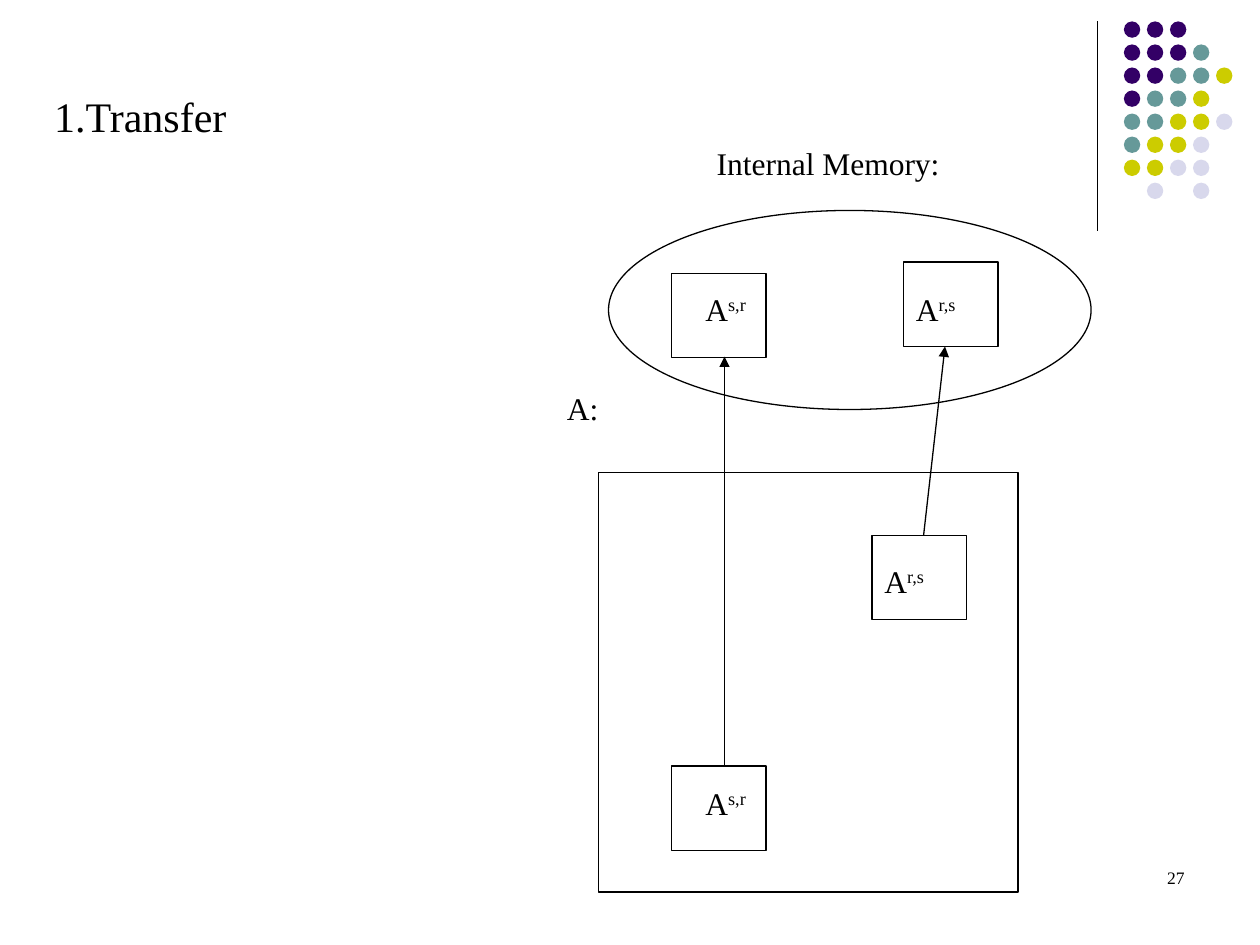
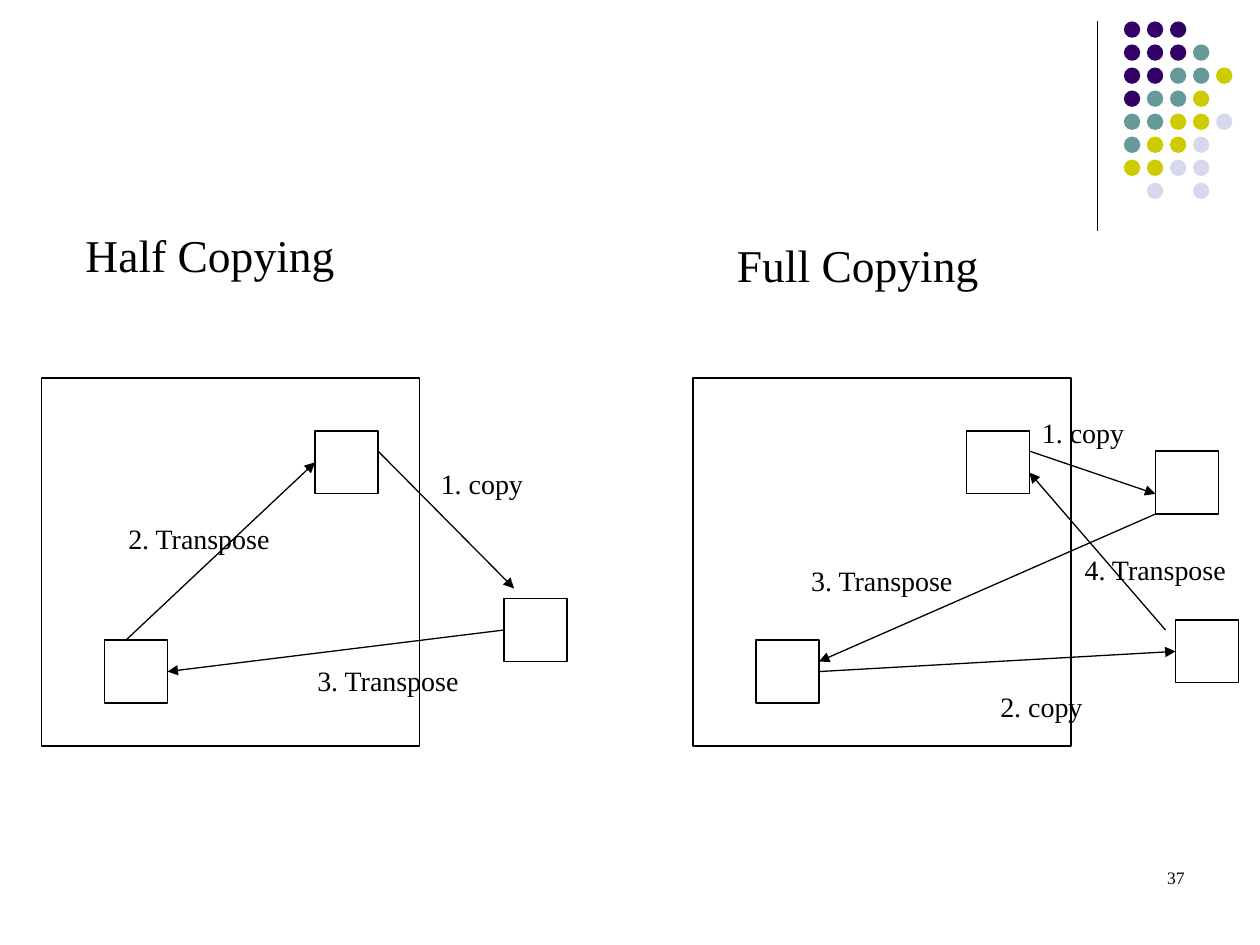
from lxml import etree
from pptx import Presentation
from pptx.dml.color import RGBColor
from pptx.enum.shapes import MSO_CONNECTOR, MSO_SHAPE
from pptx.enum.text import MSO_ANCHOR, MSO_AUTO_SIZE, PP_ALIGN
from pptx.oxml.ns import qn
from pptx.util import Inches, Pt

STRAIGHT = MSO_CONNECTOR.STRAIGHT
RECTANGLE, ELLIPSE = MSO_SHAPE.RECTANGLE, MSO_SHAPE.OVAL
LEFT, RIGHT = PP_ALIGN.LEFT, PP_ALIGN.RIGHT
TOP = MSO_ANCHOR.TOP
FIT, FIXED = MSO_AUTO_SIZE.SHAPE_TO_FIT_TEXT, MSO_AUTO_SIZE.NONE
TITLE_ONLY, BLANK = 5, 6

FONT = "Times New Roman"
BLACK = "000000"
LINE_WIDTH = 0.74

DOT_COLORS = {"p": "330066", "t": "669999", "y": "CCCC00", "l": "D8D8EC"}
DOT_ROWS = ["ppp", "pppt", "pptty", "ptty", "ttyyl", "tyyl", "yyll", " l l"]
DOT_LEFT, DOT_TOP, DOT_SIZE, DOT_STEP = 8.92, 0.17, 0.13, 1.28 / 7

TRANSFER = {
    "title": "1.Transfer",
    "number": "27",
    "matrix": (4.75, 3.75, 3.33, 3.33),
    "memory": (4.83, 1.67, 3.83, 1.58),
    "captions": [("Internal Memory:", 5.59, 1.09, 1.97), ("A:", 4.4, 3.04, 0.45)],
    "blocks": [
        ("r,s", 6.92, 4.25, 0, 0.16),
        ("s,r", 5.33, 2.17, 0.17, 0.08),
        ("r,s", 7.17, 2.08, 0, 0.17),
        ("s,r", 5.33, 6.08, 0.17, 0.09),
    ],
    "arrows": [((5.75, 6.08), (5.75, 2.83)), ((7.33, 4.25), (7.5, 2.75))],
}

COPYING_NUMBER = "37"
PANEL_TOP, PANEL_WIDTH, PANEL_HEIGHT = 3, 3, 2.92
CELL_SIZE = 0.5
MATRIX_CELLS = [(2.17, 0.42), (0.5, 2.08)]
LABEL_WIDTHS = {"copy": 0.85, "Transpose": 1.33}
PANELS = [
    {
        "heading": "Half Copying",
        "heading_top": 1.75,
        "left": 0.33,
        "buffers": [(3.67, 1.75)],
        "steps": [
            ("copy", (3.07, 0.65), (2.67, 0.58), (3.75, 1.67)),
            ("Transpose", (0.59, 1.09), (0.67, 2.08), (2.17, 0.67)),
            ("Transpose", (2.09, 2.22), (3.67, 2), (1, 2.33)),
        ],
    },
    {
        "heading": "Full Copying",
        "heading_top": 1.83,
        "left": 5.5,
        "buffers": [(3.67, 0.58), (3.83, 1.92)],
        "steps": [
            ("copy", (2.67, 0.25), (2.67, 0.58), (3.67, 0.92)),
            ("copy", (2.34, 2.42), (1, 2.33), (3.83, 2.17)),
            ("Transpose", (0.84, 1.42), (3.67, 1.08), (1, 2.25)),
            ("Transpose", (3.01, 1.34), (3.75, 2), (2.67, 0.75)),
        ],
    },
]


def color(hex_value):
    """Return the colour for a hex string."""
    return RGBColor.from_string(hex_value)


def add_run(paragraph, text, size, superscript=False):
    """Append one run in the shared font."""
    run = paragraph.add_run()
    run.text = text
    run.font.name = FONT
    run.font.size = Pt(size)
    run.font.color.rgb = color(BLACK)
    if superscript:
        run.font._element.set("baseline", "30000")


def add_text(slide, text, left, top, width, height, size, wrap=False, align=LEFT, fit=FIT):
    """Add a text box and return its paragraph."""
    shape = slide.shapes.add_textbox(*map(Inches, (left, top, width, height)))
    frame = shape.text_frame
    frame.word_wrap = wrap
    frame.auto_size = fit
    paragraph = frame.paragraphs[0]
    paragraph.alignment = align
    add_run(paragraph, text, size)
    return paragraph


def add_outline(slide, kind, left, top, width, height):
    """Add an unfilled shape with a thin black outline."""
    shape = slide.shapes.add_shape(kind, *map(Inches, (left, top, width, height)))
    shape.shadow.inherit = False
    shape.fill.background()
    shape.line.color.rgb = color(BLACK)
    shape.line.width = Pt(LINE_WIDTH)


def add_line(slide, start, end, arrow=True):
    """Add a straight line, with an arrowhead at its end if asked."""
    connector = slide.shapes.add_connector(STRAIGHT, *map(Inches, (*start, *end)))
    connector.line.color.rgb = color(BLACK)
    connector.line.width = Pt(LINE_WIDTH)
    if arrow:
        etree.SubElement(connector.line._get_or_add_ln(), qn("a:tailEnd"), type="triangle")
    etree.SubElement(connector._element.spPr, qn("a:effectLst"))


def add_slide(presentation, layout, number):
    """Add a slide with the dot pattern, the rule and the page number."""
    slide = presentation.slides.add_slide(presentation.slide_layouts[layout])
    add_line(slide, (8.71, 0.17), (8.71, 1.83), arrow=False)
    group = slide.shapes.add_group_shape()
    for row, codes in enumerate(DOT_ROWS):
        for column, code in enumerate(codes):
            if code == " ":
                continue
            left, top = DOT_LEFT + column * DOT_STEP, DOT_TOP + row * DOT_STEP
            dot = group.shapes.add_shape(ELLIPSE, *map(Inches, (left, top, DOT_SIZE, DOT_SIZE)))
            dot.shadow.inherit = False
            dot.fill.solid()
            dot.fill.fore_color.rgb = color(DOT_COLORS[code])
            dot.line.fill.background()
    add_text(slide, number, 7.17, 6.83, 2.33, 0.5, 10, wrap=True, align=RIGHT, fit=FIXED)
    return slide


def set_title(slide, text):
    """Place and format the title placeholder."""
    title = slide.shapes.title
    title.left, title.top, title.width, title.height = map(Inches, (0.33, 0.67, 3, 0.5))
    frame = title.text_frame
    frame.vertical_anchor = TOP
    frame.auto_size = FIXED
    frame.paragraphs[0].alignment = LEFT
    add_run(frame.paragraphs[0], text, 24)


def build_transfer(presentation):
    """Build the slide on moving two blocks into memory."""
    slide = add_slide(presentation, TITLE_ONLY, TRANSFER["number"])
    set_title(slide, TRANSFER["title"])
    add_outline(slide, RECTANGLE, *TRANSFER["matrix"])
    add_outline(slide, ELLIPSE, *TRANSFER["memory"])
    for text, left, top, width in TRANSFER["captions"]:
        add_text(slide, text, left, top, width, 0.4, 18)
    for index, left, top, shift_x, shift_y in TRANSFER["blocks"]:
        add_outline(slide, RECTANGLE, left, top, 0.75, 0.67)
        paragraph = add_text(slide, "A", left + shift_x, top + shift_y, 0.67, 0.4, 18, wrap=True)
        add_run(paragraph, index, 18, superscript=True)
    for start, end in TRANSFER["arrows"]:
        add_line(slide, start, end)


def build_copying(presentation):
    """Build the slide that compares half and full copying."""
    slide = add_slide(presentation, BLANK, COPYING_NUMBER)
    for panel in PANELS:
        origin = panel["left"]

        def place(point):
            """Turn a point in the panel into a point on the slide."""
            return origin + point[0], PANEL_TOP + point[1]

        add_text(slide, panel["heading"], origin + 0.25, panel["heading_top"], 2.42, 0.54, 26, wrap=True)
        add_outline(slide, RECTANGLE, origin, PANEL_TOP, PANEL_WIDTH, PANEL_HEIGHT)
        for cell in MATRIX_CELLS + panel["buffers"]:
            add_outline(slide, RECTANGLE, *place(cell), CELL_SIZE, CELL_SIZE)
        for number, (action, label, start, end) in enumerate(panel["steps"], 1):
            add_line(slide, place(start), place(end))
            add_text(slide, f"{number}. {action}", *place(label), LABEL_WIDTHS[action], 0.37, 16)


def main():
    """Build and save the presentation."""
    presentation = Presentation()
    presentation.slide_width, presentation.slide_height = Inches(10), Inches(7.5)
    build_transfer(presentation)
    build_copying(presentation)
    presentation.save("out.pptx")


main()
